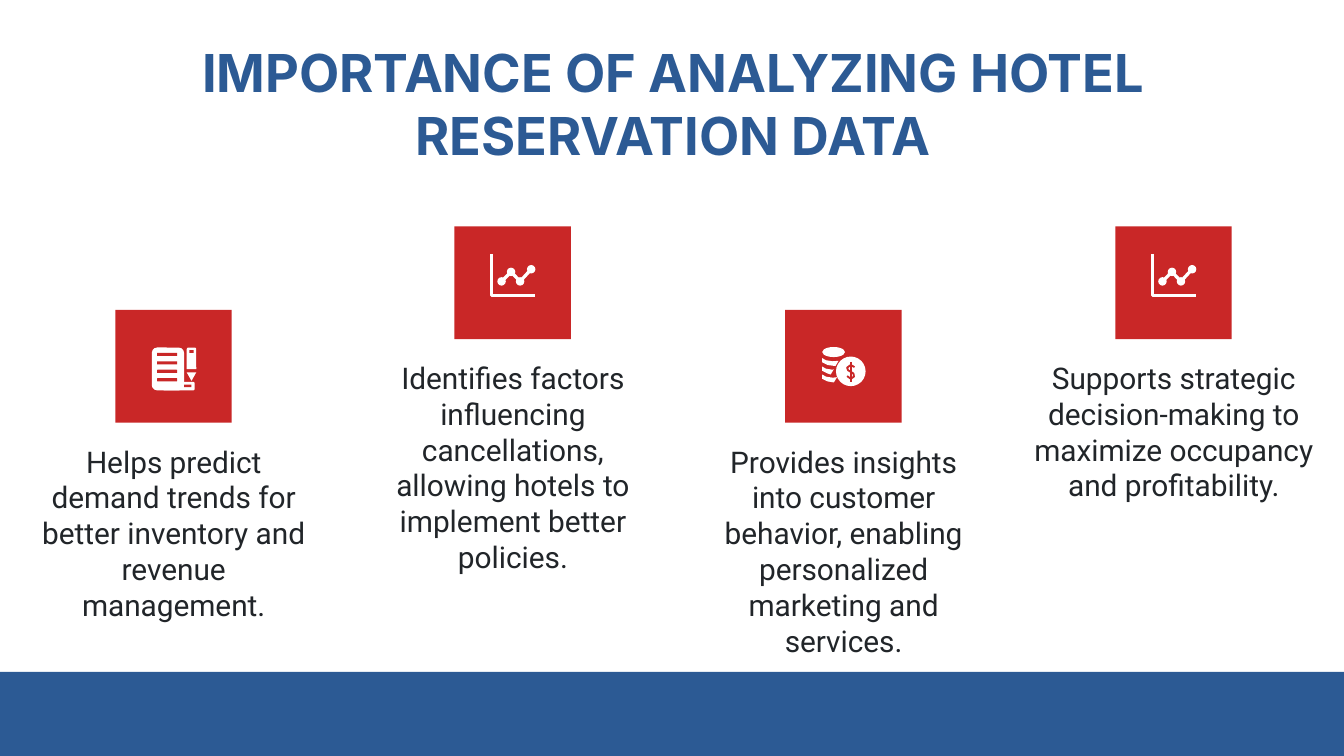
from pptx import Presentation
from pptx.dml.color import RGBColor
from pptx.enum.shapes import MSO_SHAPE
from pptx.enum.text import MSO_ANCHOR, PP_ALIGN
from pptx.util import Cm, Pt

BLUE, RED, WHITE, INK = "2C5A94", "C92727", "FFFFFF", "212529"
TILE_W, TILE_H = 2.2, 2.13

deck = Presentation()
deck.slide_width, deck.slide_height = Cm(25.4), Cm(14.29)
slide = deck.slides.add_slide(deck.slide_layouts[6])


def add_text(text, left, top, width, height, *, size, font, colour, bold=False):
    frame = slide.shapes.add_textbox(Cm(left), Cm(top), Cm(width), Cm(height)).text_frame
    frame.word_wrap = True
    frame.vertical_anchor = MSO_ANCHOR.TOP
    frame.margin_left = frame.margin_right = Cm(0.25)
    frame.margin_top = frame.margin_bottom = Cm(0.25)
    paragraph = frame.paragraphs[0]
    paragraph.alignment = PP_ALIGN.CENTER
    run = paragraph.add_run()
    run.text = text
    run.font.size, run.font.name, run.font.bold = Pt(size), font, bold
    run.font.color.rgb = RGBColor.from_string(colour)


def add_block(kind, left, top, width, height, fill):
    """Add a filled preset shape without an outline."""
    block = slide.shapes.add_shape(kind, Cm(left), Cm(top), Cm(width), Cm(height))
    block.shadow.inherit = False
    block.fill.solid()
    block.fill.fore_color.rgb = RGBColor.from_string(fill)
    block.line.fill.background()


# Icon parts are measured in cm from the corner of their tile.
# Each icon has blocks (kind, left, top, width, height, fill)
# and outlines (points, colour, line width in points or None for a filled area).
trend = [(0.89, 1.04), (1.07, 0.86), (1.24, 1.04), (1.45, 0.81)]
chart_icon = (
    [(MSO_SHAPE.OVAL, x - 0.08, y - 0.08, 0.16, 0.16, WHITE) for x, y in trend],
    [(trend, WHITE, 1.75),
     ([(0.7, 0.52), (0.7, 1.3), (1.52, 1.3)], WHITE, 1.5)],
)
notes_icon = (
    [(MSO_SHAPE.ROUNDED_RECTANGLE, 0.69, 0.71, 0.61, 0.81, WHITE),
     (MSO_SHAPE.ROUNDED_RECTANGLE, 0.9, 1.36, 0.6, 0.16, WHITE),
     (MSO_SHAPE.RECTANGLE, 1.3, 1.41, 0.14, 0.05, RED),
     (MSO_SHAPE.ROUND_2_SAME_RECTANGLE, 1.35, 0.71, 0.18, 0.41, WHITE),
     (MSO_SHAPE.RECTANGLE, 1.4, 0.76, 0.08, 0.05, RED),
     (MSO_SHAPE.FLOWCHART_MERGE, 1.35, 1.18, 0.18, 0.16, WHITE)]
    + [(MSO_SHAPE.ROUNDED_RECTANGLE, 0.79, 0.81 + 0.16 * row, 0.38, 0.06, RED)
       for row in range(4)],
    [],
)
coins_icon = (
    [(MSO_SHAPE.OVAL, 0.7, 0.7, 0.43, 0.19, WHITE),
     (MSO_SHAPE.OVAL, 0.96, 0.88, 0.56, 0.56, WHITE)],
    [([(0.7, y), (0.77, y + 0.04), (0.9, y + 0.06), (right, y + 0.05),
       (right - 0.06, y + 0.15), (0.8, y + 0.13), (0.7, y + 0.08)], WHITE, None)
     for y, right in ((0.91, 1.01), (1.07, 0.92), (1.22, 0.98))]
    + [([(1.31, 1.08), (1.24, 1.04), (1.17, 1.09), (1.19, 1.14),
         (1.29, 1.2), (1.3, 1.26), (1.24, 1.3), (1.17, 1.25)], RED, 1),
       ([(1.24, 0.98), (1.24, 1.36)], RED, 1)],
)

HIGH, LOW = 4.28, 5.86
reasons = [
    (0.39, LOW, notes_icon,
     "Helps predict demand trends for better inventory and revenue management."),
    (6.8, HIGH, chart_icon,
     "Identifies factors influencing cancellations, allowing hotels to implement "
     "better policies."),
    (13.05, LOW, coins_icon,
     "Provides insights into customer behavior, enabling personalized marketing "
     "and services."),
    (19.29, HIGH, chart_icon,
     "Supports strategic decision-making to maximize occupancy and profitability."),
]

add_block(MSO_SHAPE.RECTANGLE, 0, 12.7, 25.4, 1.59, BLUE)
add_text("IMPORTANCE OF ANALYZING HOTEL RESERVATION DATA", 2, 0.51, 21.44, 1.6,
         size=28, font="Inter", colour=BLUE, bold=True)

for left, top, (blocks, outlines), reason in reasons:
    add_text(reason, left, top + 2.27, 5.79, 2.11, size=16, font="Roboto", colour=INK)
    tile_left = left + 1.79
    add_block(MSO_SHAPE.RECTANGLE, tile_left, top, TILE_W, TILE_H, RED)
    for kind, x, y, width, height, fill in blocks:
        add_block(kind, tile_left + x, top + y, width, height, fill)
    for points, colour, weight in outlines:
        corners = [(Cm(tile_left + x), Cm(top + y)) for x, y in points]
        builder = slide.shapes.build_freeform(*corners[0])
        builder.add_line_segments(corners[1:], close=weight is None)
        outline = builder.convert_to_shape()
        outline.shadow.inherit = False
        if weight is None:
            outline.fill.solid()
            outline.fill.fore_color.rgb = RGBColor.from_string(colour)
            outline.line.fill.background()
        else:
            outline.fill.background()
            outline.line.color.rgb = RGBColor.from_string(colour)
            outline.line.width = Pt(weight)

deck.save("out.pptx")
